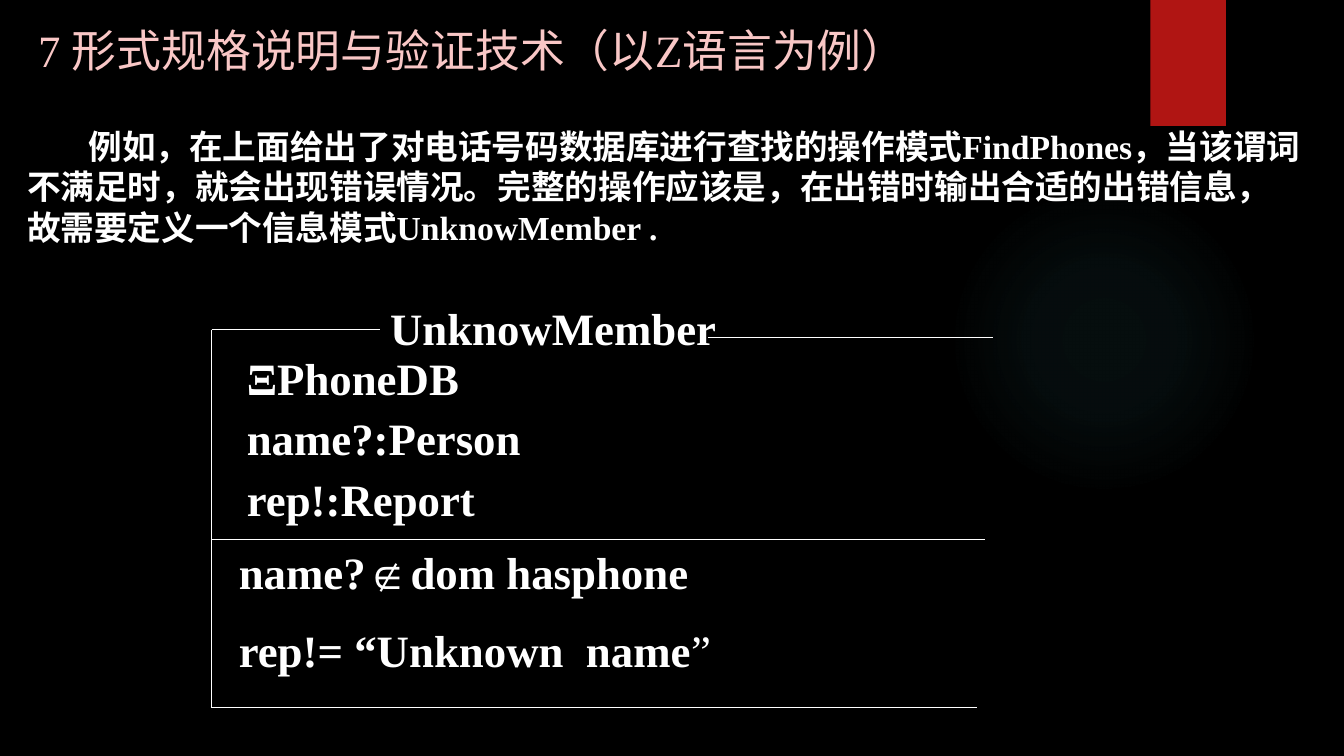
from dataclasses import dataclass

from lxml.etree import SubElement
from pptx import Presentation
from pptx.dml.color import RGBColor
from pptx.enum.shapes import MSO_CONNECTOR, MSO_SHAPE
from pptx.enum.text import MSO_ANCHOR
from pptx.oxml import parse_xml
from pptx.oxml.ns import nsdecls, qn
from pptx.util import Inches, Pt


@dataclass
class Theme:
    back: str = "000000"
    ink: str = "FFFFFF"
    head: str = "F9C7C6"
    flag: str = "B01513"
    glow: str = "50B9C1"
    font: str = "Times New Roman"
    big: int = 32
    body: int = 24
    rule: float = 0.75


theme = Theme()


def add_text(area, paras, size, color=theme.ink, gap=0, lead=None, wrap=True):
    """Each paragraph is a list of (text, bold) runs."""
    box = slide.shapes.add_textbox(*map(Inches, area))
    frame = box.text_frame
    frame.word_wrap = wrap
    frame.vertical_anchor = MSO_ANCHOR.TOP
    for i, runs in enumerate(paras):
        para = frame.add_paragraph() if i else frame.paragraphs[0]
        para.space_before = Pt(gap)
        if lead:
            para.line_spacing = lead
        for text, bold in runs:
            run = para.add_run()
            run.text = text
            font = run.font
            font.name, font.size, font.bold = theme.font, Pt(size), bold
            font.color.rgb = RGBColor.from_string(color)
    return box


def add_rule(x1, y1, x2, y2):
    line = slide.shapes.add_connector(
        MSO_CONNECTOR.STRAIGHT, *map(Inches, (x1, y1, x2, y2)))
    line.line.color.rgb = RGBColor.from_string(theme.ink)
    line.line.width = Pt(theme.rule)
    SubElement(line._element.spPr, qn("a:effectLst"))


deck = Presentation()
deck.slide_width, deck.slide_height = Inches(13.33), Inches(7.5)
slide = deck.slides.add_slide(deck.slide_layouts[6])
slide.background.fill.solid()
slide.background.fill.fore_color.rgb = RGBColor.from_string(theme.back)

# Soft glow: a radial gradient that fades to clear
glow = slide.shapes.add_shape(
    MSO_SHAPE.OVAL, *map(Inches, (9.41, 1.83, 3.08, 3.08)))
glow.shadow.inherit = False
glow.line.fill.background()
stops = "".join(
    f'<a:gs pos="{pos * 1000}"><a:srgbClr val="{theme.glow}">'
    f'<a:alpha val="{alpha * 1000}"/></a:srgbClr></a:gs>'
    for pos, alpha in ((0, 7), (36, 6), (69, 0)))
glow._element.spPr.find(qn("a:prstGeom")).addnext(parse_xml(
    f'<a:gradFill {nsdecls("a")}><a:gsLst>{stops}</a:gsLst>'
    '<a:path path="circle"><a:fillToRect l="50000" t="50000" r="50000" '
    'b="50000"/></a:path></a:gradFill>'))

# Red flag at the top edge
flag = slide.shapes.add_shape(
    MSO_SHAPE.RECTANGLE, *map(Inches, (11.41, 0, 0.75, 1.25)))
flag.shadow.inherit = False
flag.fill.solid()
flag.fill.fore_color.rgb = RGBColor.from_string(theme.flag)
flag.line.fill.background()

# Title and introduction
add_text((0.28, 0.18, 11.18, 0.96),
         [[("7 形式规格说明与验证技术（以Z语言为例）", False)]],
         theme.big, theme.head)
intro = add_text(
    (0.17, 1.2, 12.86, 1.36),
    [[("例如，在上面给出了对电话号码数据库进行查找的操作模式FindPhones，"
       "当该谓词不满足时，就会出现错误情况。完整的操作应该是，"
       "在出错时输出合适的出错信息，故需要定义一个信息模式UnknowMember .", True)]],
    theme.body)
props = intro.text_frame.paragraphs[0]._p.get_or_add_pPr()
props.set("marL", "0")
props.set("indent", str(Inches(0.61)))

# Schema frame: open on the right, name set into the top rule
left, top, mid, base = 2.1, 3.27, 5.35, 7.02
for ends in ((left, top, left, base), (left, top, 3.77, top),
             (7.02, 3.35, 9.85, 3.35), (left, mid, 9.77, mid),
             (left, base, 9.69, base)):
    add_rule(*ends)

# Schema name, declarations and predicates
add_text((3.77, 2.93, 3.47, 0.64), [[("UnknowMember", True)]],
         theme.big, wrap=False)
add_text((2.35, 3.6, 3.33, 1.68),
         [[(text, True)] for text in
          ("ΞPhoneDB", "name?:Person", "rep!:Report")],
         theme.big, gap=18, lead=0.65)
add_text((2.27, mid, 7.17, 1.43),
         [[("name?∉dom hasphone", True)],
          [("rep!= “Unknown  name", True), ("”", False)]],
         theme.big, gap=18)

deck.save("out.pptx")
